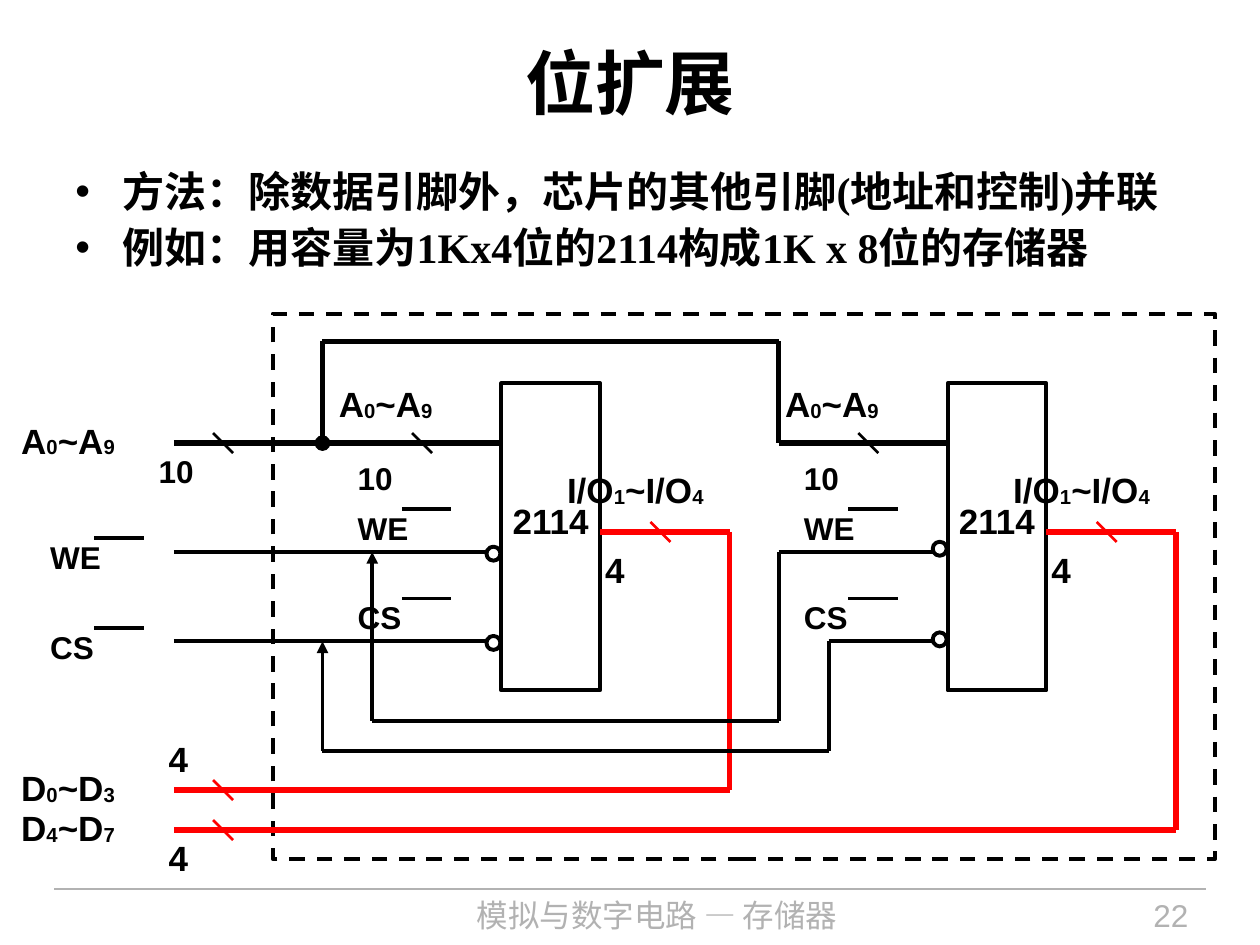
from itertools import pairwise

from lxml import etree
from pptx import Presentation
from pptx.dml.color import RGBColor
from pptx.enum.dml import MSO_LINE
from pptx.enum.shapes import MSO_CONNECTOR, MSO_SHAPE
from pptx.enum.text import MSO_ANCHOR, PP_ALIGN
from pptx.oxml.ns import qn
from pptx.util import Pt

BLACK, RED, GREY, WHITE = "000000", "FF0000", "B2B2B2", "FFFFFF"
CJK = "Noto Sans CJK SC"


def color(value):
    return RGBColor.from_string(value)


class Sketch:
    """Holds the current page and the style of its elements."""

    font = "Arial"
    thin, medium, thick = 1.5, 2.25, 3

    def __init__(self, page):
        self.page = page

    def text(self, paragraphs, x, y, width, height, size=20, font=font, ink=BLACK,
             bold=True, align=PP_ALIGN.LEFT, anchor=MSO_ANCHOR.TOP, bullets=False):
        """Each paragraph is a list of strings; every second one is a subscript."""
        box = self.page.shapes.add_textbox(Pt(x), Pt(y), Pt(width), Pt(height))
        frame = box.text_frame
        frame.word_wrap = True
        frame.vertical_anchor = anchor
        for number, runs in enumerate(paragraphs):
            para = frame.add_paragraph() if number else frame.paragraphs[0]
            para.alignment = align
            if bullets:
                self.bullet(para)
            for index, words in enumerate(runs):
                span = para.add_run()
                span.text = words
                span.font.size = Pt(size)
                span.font.name = font
                span.font.bold = bold
                span.font.color.rgb = color(ink)
                properties = span.font._element
                etree.SubElement(properties, qn("a:ea")).set("typeface", CJK)
                if index % 2:
                    properties.set("baseline", "-2000")

    def bullet(self, para):
        para.line_spacing = 0.9
        para.space_after = Pt(6)
        properties = para._p.get_or_add_pPr()
        properties.set("marL", str(Pt(27)))
        properties.set("indent", str(Pt(-27)))
        etree.SubElement(properties, qn("a:buFont")).set("typeface", self.font)
        etree.SubElement(properties, qn("a:buChar")).set("char", "•")

    def label(self, x, y, *runs, size=20):
        self.text([runs], x, y, 120, size * 1.6, size)

    def active_low(self, x, y, name):
        """A signal name with the bar that marks it as active low."""
        self.label(x, y, name, size=18)
        self.wire([(x + 32.3, y + 3.6), (x + 60.7, y + 3.6)])

    def wire(self, points, ink=BLACK, width=medium, head=None, tail=None):
        for (x1, y1), (x2, y2) in pairwise(points):
            line = self.page.shapes.add_connector(
                MSO_CONNECTOR.STRAIGHT, Pt(x1), Pt(y1), Pt(x2), Pt(y2))
            line.line.color.rgb = color(ink)
            line.line.width = Pt(width)
            outline = line.line._get_or_add_ln()
            for tag, kind in (("a:headEnd", head), ("a:tailEnd", tail)):
                if kind:
                    etree.SubElement(outline, qn(tag)).set("type", kind)
            etree.SubElement(line._element.spPr, qn("a:effectLst"))

    def slash(self, x, y, ink=BLACK):
        """A bus mark centred on a wire."""
        self.wire([(x - 5.7, y - 5.7), (x + 5.7, y + 5.7)], ink, self.thin)

    def shape(self, kind, x, y, width, height, fill=None, dashed=False):
        shape = self.page.shapes.add_shape(kind, Pt(x), Pt(y), Pt(width), Pt(height))
        shape.shadow.inherit = False
        if fill:
            shape.fill.solid()
            shape.fill.fore_color.rgb = color(fill)
        else:
            shape.fill.background()
        shape.line.color.rgb = color(BLACK)
        shape.line.width = Pt(self.medium)
        if dashed:
            shape.line.dash_style = MSO_LINE.DASH

    def chip(self, x, address_start, write_start, select_start, bubbles):
        """A memory chip with its pins; bubbles are the centres of the two circles."""
        self.shape(MSO_SHAPE.RECTANGLE, x, 219, 56.5, 175.5)
        self.text([["2114"]], x - 11.3, 281.7, 79, 32, align=PP_ALIGN.CENTER)
        self.wire([(address_start, ADDRESS_Y), (x, ADDRESS_Y)], width=self.thick)
        self.wire([(write_start, WRITE_Y), (x, WRITE_Y)])
        self.wire([(select_start, SELECT_Y), (x, SELECT_Y)])
        self.wire([(x + 56.5, DATA_Y), (x + 130.5, DATA_Y)], RED, self.thick)
        self.slash(x - 45.3, ADDRESS_Y)
        self.slash(x + 90.9, DATA_Y, RED)
        self.label(x - 100, 215.3, "A", "0", "~A", "9")
        self.label(x - 89.2, 258.5, "10", size=18)
        self.label(x + 30.4, 264.4, "I/O", "1", "~I/O", "4")
        self.label(x + 52.2, 309.8, "4")
        self.active_low(x - 89.2, 287.3, "WE")
        self.active_low(x - 89.2, 338.4, "CS")
        for y in bubbles:
            self.shape(MSO_SHAPE.OVAL, x - 8.5, y - 4, 8, 8, fill=WHITE)


# Heights of the signals and columns of the diagram
ADDRESS_Y, DATA_Y, WRITE_Y, SELECT_Y = 253.2, 304, 315.4, 366.5
LOW_DATA_Y, HIGH_DATA_Y = 451.5, 474.3
BUS_START, BRANCH_X, WRITE_X = 99.4, 184.3, 212.7
FIRST_CHIP, SECOND_CHIP = 286.5, 541.5
ADDRESS_X, SELECT_X = 445, 473.5

deck = Presentation()
deck.slide_width, deck.slide_height = Pt(720), Pt(540)
sketch = Sketch(deck.slides.add_slide(deck.slide_layouts[6]))

# Footer
sketch.wire([(31, 508), (689, 508)], GREY, 0.75)
sketch.text([["模拟与数字电路 — 存储器"]], 172.8, 508.3, 405.4, 31.7, 18, CJK, GREY,
            bold=False, align=PP_ALIGN.CENTER)
sketch.text([["22"]], 590.4, 508.3, 95.8, 31.7, 18, ink=GREY,
            bold=False, align=PP_ALIGN.RIGHT)

# Title and points
sketch.text([["位扩展"]], 36, 18.7, 648, 55.4, 40, "Times New Roman",
            align=PP_ALIGN.CENTER, anchor=MSO_ANCHOR.MIDDLE)
sketch.text([["方法：除数据引脚外，芯片的其他引脚(地址和控制)并联"],
             ["例如：用容量为1Kx4位的2114构成1K x 8位的存储器"]],
            36, 94.3, 648, 113, 24, "Times New Roman", bullets=True)

# Memory with its two chips
sketch.shape(MSO_SHAPE.RECTANGLE, 155.8, 179.3, 538.5, 311.5, dashed=True)
sketch.chip(SECOND_CHIP, ADDRESS_X, ADDRESS_X, SELECT_X, (313.6, 365.4))
sketch.chip(FIRST_CHIP, BUS_START, BUS_START, BUS_START, (316.4, 367.4))

# Data lines
for chip_x, y in ((FIRST_CHIP, LOW_DATA_Y), (SECOND_CHIP, HIGH_DATA_Y)):
    end = chip_x + 130.5
    sketch.wire([(end, DATA_Y), (end, y), (BUS_START, y)], RED, sketch.thick)
    sketch.slash(127.5, y, RED)

# Address, write and select branches to the second chip
sketch.wire([(BRANCH_X, 195), (BRANCH_X, ADDRESS_Y)], width=sketch.thick, tail="oval")
sketch.wire([(BRANCH_X, 195), (ADDRESS_X, 195), (ADDRESS_X, ADDRESS_Y)],
            width=sketch.thick)
for start, end, top, bottom in ((WRITE_X, ADDRESS_X, WRITE_Y, 411.8),
                                (BRANCH_X, SELECT_X, SELECT_Y, 428.9)):
    sketch.wire([(start, top), (start, bottom)], head="triangle")
    sketch.wire([(start, bottom), (end, bottom), (end, top)])

# Names of the outer signals
sketch.slash(127.5, ADDRESS_Y)
sketch.label(83.5, 254.9, "10", size=18)
sketch.label(5, 236, "A", "0", "~A", "9")
sketch.active_low(21.6, 304, "WE")
sketch.active_low(21.6, 355.2, "CS")
sketch.label(5, 434.4, "D", "0", "~D", "3")
sketch.label(5, 457.2, "D", "4", "~D", "7")
for y in (417.6, 474.3):
    sketch.label(89.3, y, "4")

deck.save("out.pptx")
